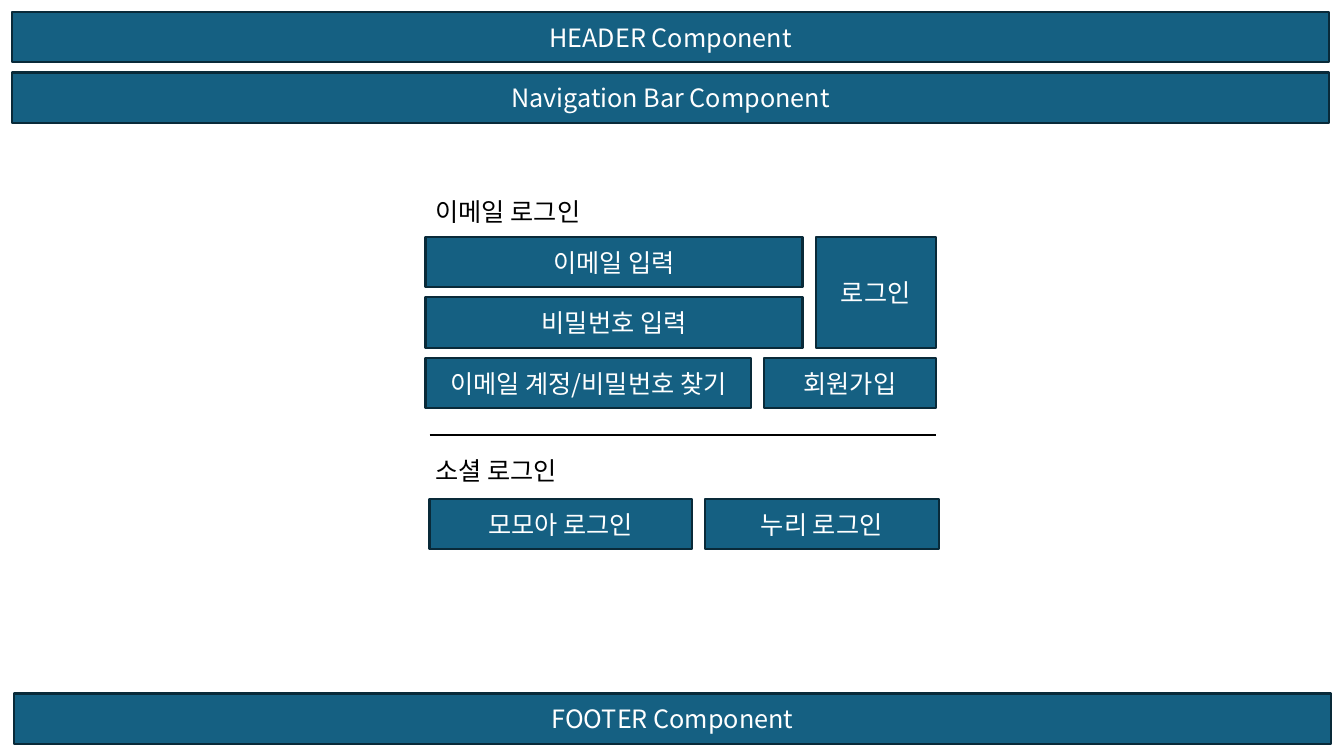
"""Build a wireframe slide of a login page from rows of labelled blocks."""
import pptx
import pptx.dml.color
import pptx.enum.shapes
import pptx.enum.text
import pptx.util
import lxml.etree

COLORS = {"block": "156082", "outline": "092A39", "light": "FFFFFF", "dark": "000000"}
FONT = {"name": "Noto Sans CJK KR", "size": pptx.util.Pt(18)}
SLIDE_WIDTH, SLIDE_HEIGHT = 13.33, 7.5
ROW_HEIGHT, ROW_PITCH, COLUMN_GAP = 0.5, 0.6, 0.13
MARGIN, BAR_WIDTH = 0.12, 13.06
FORM_LEFT, FORM_RIGHT, FORM_TOP = 4.22, 9.28, 2.35
SOCIAL_LEFT, SOCIAL_TOP = 4.26, 4.95
DIVIDER_TOP = 4.32

# Each row: left, top, then (text, width, rows spanned) for every block.
ROWS = [
    (MARGIN, MARGIN, [("HEADER Component", BAR_WIDTH, 1)]),
    (MARGIN, MARGIN + ROW_PITCH, [("Navigation Bar Component", BAR_WIDTH, 1)]),
    (FORM_LEFT, FORM_TOP, [("이메일 입력", 3.74, 1), ("로그인", 1.19, 2)]),
    (FORM_LEFT, FORM_TOP + ROW_PITCH, [("비밀번호 입력", 3.74, 1)]),
    (FORM_LEFT, FORM_TOP + 2 * ROW_PITCH, [("이메일 계정/비밀번호 찾기", 3.23, 1), ("회원가입", 1.7, 1)]),
    (SOCIAL_LEFT, SOCIAL_TOP, [("모모아 로그인", 2.6, 1), ("누리 로그인", 2.32, 1)]),
    (MARGIN + 0.02, SLIDE_HEIGHT - MARGIN - ROW_HEIGHT, [("FOOTER Component", BAR_WIDTH, 1)]),
]
HEADINGS = [("이메일 로그인", 1.9, 1.81), ("소셜 로그인", 4.47, 1.55)]
HEADING_HEIGHT = 0.4


def color(name):
    return pptx.dml.color.RGBColor.from_string(COLORS[name])


def inches(*lengths):
    return [pptx.util.Inches(length) for length in lengths]


def set_line(line, name):
    line.color.rgb = color(name)
    line.width = pptx.util.Pt(1.5)


def write(shape, text, color_name, alignment, frame_format):
    frame = shape.text_frame
    for attribute, value in frame_format.items():
        setattr(frame, attribute, value)
    paragraph = frame.paragraphs[0]
    paragraph.alignment = alignment
    run = paragraph.add_run()
    run.text = text
    for attribute, value in FONT.items():
        setattr(run.font, attribute, value)
    run.font.color.rgb = color(color_name)
    properties = run.font._element
    east_asian = lxml.etree.SubElement(properties, pptx.oxml.ns.qn("a:ea"))
    east_asian.set("typeface", FONT["name"])


def add_block(slide, text, left, top, width, height):
    shape = slide.shapes.add_shape(
        pptx.enum.shapes.MSO_SHAPE.RECTANGLE, *inches(left, top, width, height))
    shape.shadow.inherit = False
    shape.fill.solid()
    shape.fill.fore_color.rgb = color("block")
    set_line(shape.line, "outline")
    write(shape, text, "light", pptx.enum.text.PP_ALIGN.CENTER,
          {"word_wrap": True, "vertical_anchor": pptx.enum.text.MSO_ANCHOR.MIDDLE})


def add_heading(slide, text, top, width):
    shape = slide.shapes.add_textbox(*inches(FORM_LEFT, top, width, HEADING_HEIGHT))
    write(shape, text, "dark", pptx.enum.text.PP_ALIGN.LEFT,
          {"word_wrap": False, "auto_size": pptx.enum.text.MSO_AUTO_SIZE.SHAPE_TO_FIT_TEXT})


def add_divider(slide):
    connector = slide.shapes.add_connector(
        pptx.enum.shapes.MSO_CONNECTOR.STRAIGHT,
        *inches(SOCIAL_LEFT, DIVIDER_TOP, FORM_RIGHT, DIVIDER_TOP))
    set_line(connector.line, "dark")
    lxml.etree.SubElement(connector._element.spPr, pptx.oxml.ns.qn("a:effectLst"))


def main():
    presentation = pptx.Presentation()
    presentation.slide_width, presentation.slide_height = inches(SLIDE_WIDTH, SLIDE_HEIGHT)
    slide = presentation.slides.add_slide(presentation.slide_layouts[6])
    for left, top, blocks in ROWS:
        for text, width, span in blocks:
            height = ROW_HEIGHT + (span - 1) * ROW_PITCH
            add_block(slide, text, left, top, width, height)
            left += width + COLUMN_GAP
    for text, top, width in HEADINGS:
        add_heading(slide, text, top, width)
    add_divider(slide)
    presentation.save("out.pptx")


if __name__ == "__main__":
    main()
